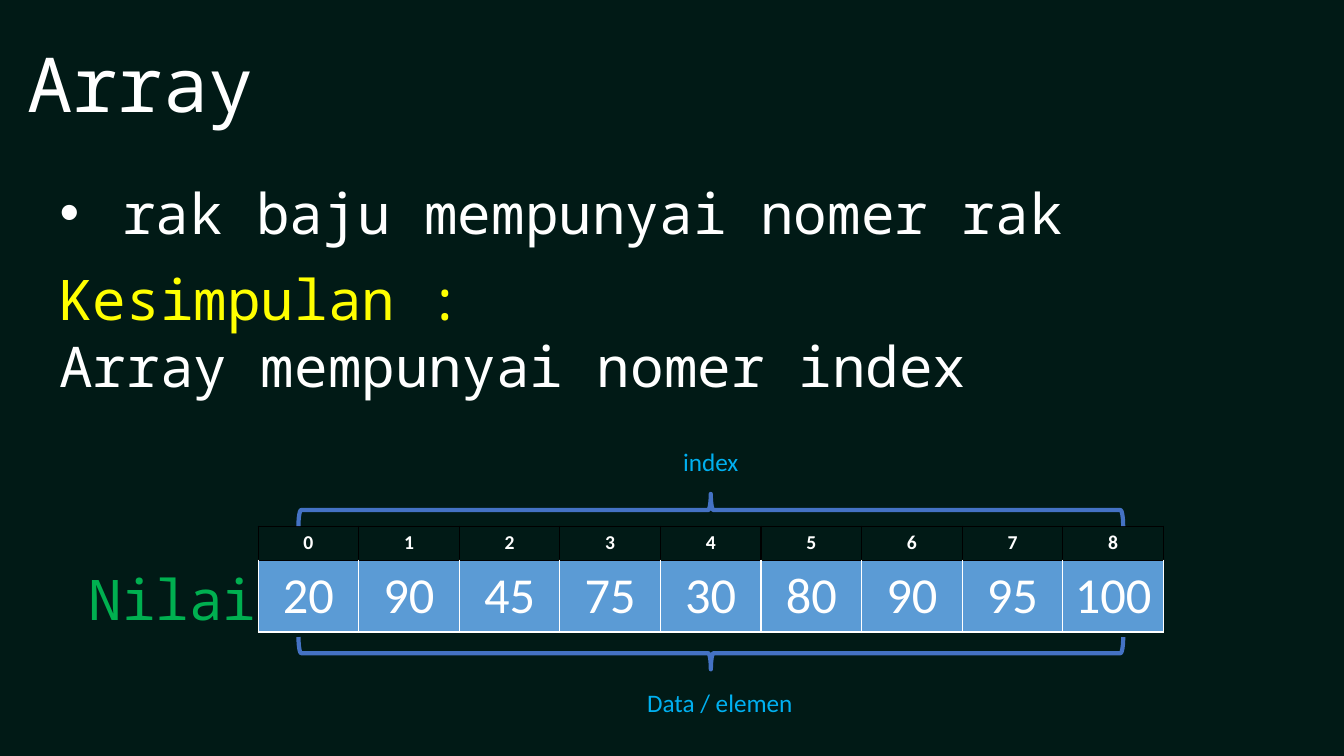
from lxml.etree import SubElement
from pptx import Presentation
from pptx.dml.color import RGBColor
from pptx.enum.shapes import MSO_SHAPE
from pptx.enum.text import MSO_ANCHOR, MSO_AUTO_SIZE, PP_ALIGN
from pptx.oxml import parse_xml
from pptx.oxml.ns import nsdecls, qn
from pptx.util import Inches, Pt

BACKGROUND = RGBColor(0x01, 0x1A, 0x16)
WHITE = RGBColor(0xFF, 0xFF, 0xFF)
BLACK = RGBColor(0x00, 0x00, 0x00)
YELLOW = RGBColor(0xFF, 0xFF, 0x00)
GREEN = RGBColor(0x00, 0xB0, 0x50)
SKY = RGBColor(0x00, 0xB0, 0xF0)
CELL_BLUE = RGBColor(0x5B, 0x9B, 0xD5)
BRACE_BLUE = RGBColor(0x44, 0x72, 0xC4)
MONO = "Noto Sans Mono"
SANS = "Calibri"
VALUES = [20, 90, 45, 75, 30, 80, 90, 95, 100]


class ArrayPage:
    """Draws styled elements on one slide."""

    def __init__(self, deck):
        self.page = deck.slides.add_slide(deck.slide_layouts[1])
        self.page.background.fill.solid()
        self.page.background.fill.fore_color.rgb = BACKGROUND

    def span(self, para, text, size, color, font=MONO, bold=False):
        span = para.add_run()
        span.text = text
        span.font.size = Pt(size)
        span.font.name = font
        span.font.bold = bold
        span.font.color.rgb = color

    def place(self, box, left, top, width, height):
        box.left, box.top = Inches(left), Inches(top)
        box.width, box.height = Inches(width), Inches(height)
        frame = box.text_frame
        frame.word_wrap = True
        frame.auto_size = MSO_AUTO_SIZE.NONE
        frame.vertical_anchor = MSO_ANCHOR.TOP
        para = frame.paragraphs[0]
        para.alignment = PP_ALIGN.LEFT
        para.space_before = Pt(0)
        return para

    def title(self, text, *area):
        para = self.place(self.page.shapes.title, *area)
        self.span(para, text, 54, WHITE)

    def bullet(self, text, *area):
        para = self.place(self.page.placeholders[1], *area)
        self.span(para, text, 40, WHITE)
        properties = para._p.get_or_add_pPr()
        properties.set("marL", str(Inches(0.62)))
        properties.set("indent", str(-Inches(0.62)))
        SubElement(properties, qn("a:buFont")).set("typeface", "Arial")
        SubElement(properties, qn("a:buChar")).set("char", "•")

    def text(self, *area):
        box = self.page.shapes.add_textbox(0, 0, 0, 0)
        return self.place(box, *area)

    def caption(self, text, *area):
        para = self.text(*area)
        para.alignment = PP_ALIGN.CENTER
        self.span(para, text, 18, SKY, SANS)

    def brace(self, top, rotation):
        brace = self.page.shapes.add_shape(
            MSO_SHAPE.RIGHT_BRACE, Inches(6.89), Inches(top), Inches(0.32), Inches(8.18))
        brace.rotation = rotation
        brace.shadow.inherit = False
        brace.fill.background()
        brace.line.color.rgb = BRACE_BLUE
        brace.line.width = Pt(3)

    def borders(self, cell, color, top_color):
        properties = cell._tc.get_or_add_tcPr()
        for position, side in enumerate(("lnL", "lnR", "lnT", "lnB")):
            side_color = top_color if side == "lnT" else color
            properties.insert(position, parse_xml(
                f'<a:{side} {nsdecls("a")} w="{Pt(1)}"><a:solidFill>'
                f'<a:srgbClr val="{side_color}"/></a:solidFill></a:{side}>'))

    def table(self, values, left, top, width, row_heights):
        table = self.page.shapes.add_table(
            2, len(values), Inches(left), Inches(top),
            Inches(width), Inches(sum(row_heights))).table
        table.horz_banding = False
        for row, height in zip(table.rows, row_heights):
            row.height = Inches(height)
        for column, value in enumerate(values):
            index_cell, value_cell = table.cell(0, column), table.cell(1, column)
            index_cell.fill.background()
            value_cell.fill.solid()
            value_cell.fill.fore_color.rgb = CELL_BLUE
            self.borders(index_cell, BLACK, BLACK)
            self.borders(value_cell, WHITE, BLACK)
            for cell, number, size in ((index_cell, column, 14), (value_cell, value, 36)):
                para = cell.text_frame.paragraphs[0]
                para.alignment = PP_ALIGN.CENTER
                self.span(para, str(number), size, WHITE, SANS, cell is index_cell)


def main():
    deck = Presentation()
    deck.slide_width, deck.slide_height = Inches(13.33), Inches(7.5)
    page = ArrayPage(deck)
    page.title("Array", 0.17, 0.32, 10.67, 1.01)
    page.bullet("rak baju mempunyai nomer rak", 0.49, 1.72, 12.02, 0.77)
    conclusion = page.text(0.49, 2.57, 12.02, 1.45)
    page.span(conclusion, "Kesimpulan : ", 40, YELLOW)
    conclusion.add_line_break()
    page.span(conclusion, "Array mempunyai nomer index", 40, WHITE)
    page.table(VALUES, 2.56, 5.22, 8.98, (0.33, 0.7))
    page.span(page.text(0.78, 5.55, 1.93, 0.77), "Nilai", 40, GREEN)
    page.brace(0.97, 270)
    page.caption("index", 6.67, 4.38, 0.76, 0.4)
    page.brace(2.39, 90)
    page.caption("Data / elemen", 6.31, 6.77, 1.66, 0.4)
    deck.save("out.pptx")


if __name__ == "__main__":
    main()
